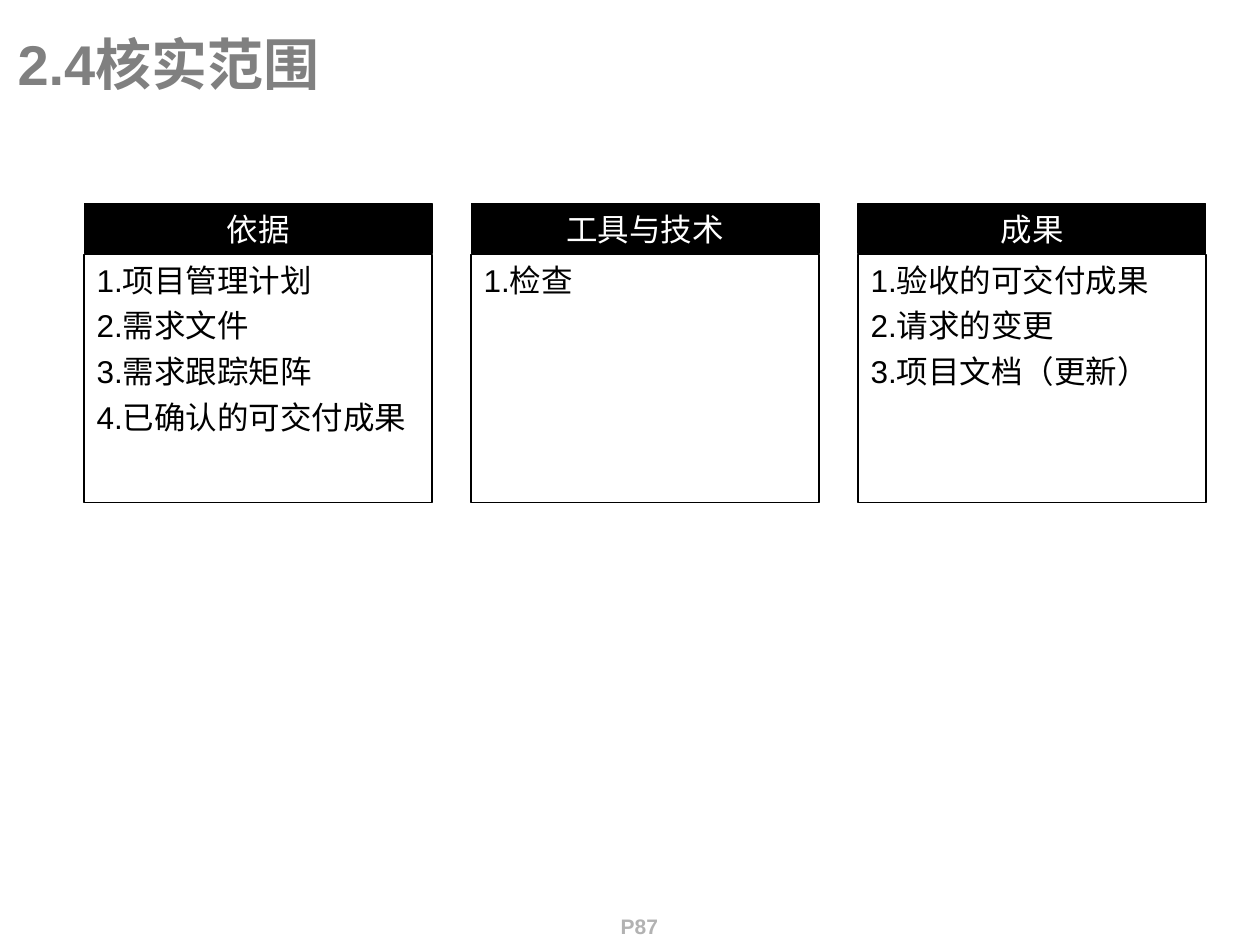
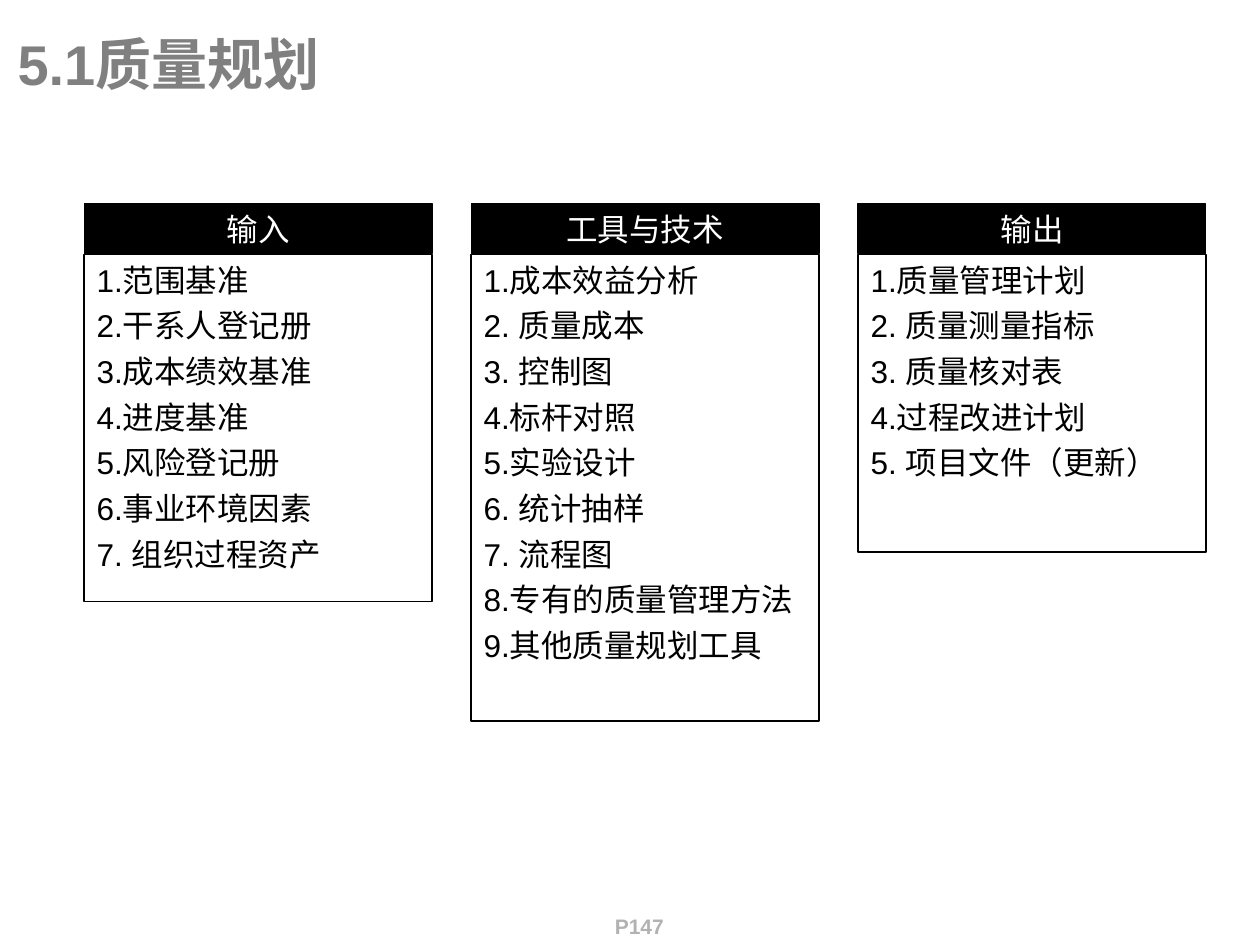
from pptx import Presentation
from pptx.dml.color import RGBColor
from pptx.enum.shapes import MSO_SHAPE
from pptx.enum.text import MSO_ANCHOR, PP_ALIGN
from pptx.util import Cm, Pt

COLORS = {"title": "808080", "page": "B2B2B2", "ink": "000000", "paper": "FFFFFF"}
FONT = "Arial"
COLUMN_LEFT, COLUMN_TOP, COLUMN_STEP, COLUMN_WIDTH = 1.7, 4.11, 7.8, 7.01
HEADER_HEIGHT, BODY_OFFSET = 1.0, 1.02

SLIDES = [
    ("2.4核实范围", "P87", [
        ("依据", 5.0, ["1.项目管理计划", "2.需求文件", "3.需求跟踪矩阵",
                     "4.已确认的可交付成果"]),
        ("工具与技术", 5.0, ["1.检查"]),
        ("成果", 5.0, ["1.验收的可交付成果", "2.请求的变更", "3.项目文档（更新）"]),
    ]),
    ("5.1质量规划", "P147", [
        ("输入", 7.0, ["1.范围基准", "2.干系人登记册", "3.成本绩效基准", "4.进度基准",
                     "5.风险登记册", "6.事业环境因素", "7. 组织过程资产"]),
        ("工具与技术", 9.4, ["1.成本效益分析", "2. 质量成本", "3. 控制图", "4.标杆对照",
                        "5.实验设计", "6. 统计抽样", "7. 流程图",
                        "8.专有的质量管理方法", "9.其他质量规划工具"]),
        ("输出", 6.0, ["1.质量管理计划", "2. 质量测量指标", "3. 质量核对表",
                     "4.过程改进计划", "5. 项目文件（更新）"]),
    ]),
]


def rgb(name):
    """Return the palette colour with this name."""
    return RGBColor.from_string(COLORS[name])


def write(tf, lines, size=18, color="ink", bold=False, align=PP_ALIGN.LEFT,
          anchor=MSO_ANCHOR.TOP, gap=0, wrap=True):
    """Fill a text frame with one formatted paragraph per line."""
    tf.word_wrap = wrap
    tf.vertical_anchor = anchor
    for i, text in enumerate(lines):
        p = tf.add_paragraph() if i else tf.paragraphs[0]
        p.alignment = align
        p.space_before = Pt(gap if i else 0)
        r = p.add_run()
        r.text = text
        r.font.name, r.font.size, r.font.bold = FONT, Pt(size), bold
        r.font.color.rgb = rgb(color)


def add_box(s, left, top, width, height, line_width, fill=None):
    """Add a black-edged rectangle and return its text frame."""
    sp = s.shapes.add_shape(MSO_SHAPE.RECTANGLE, Cm(left), Cm(top), Cm(width), Cm(height))
    sp.shadow.inherit = False
    if fill:
        sp.fill.solid()
        sp.fill.fore_color.rgb = rgb(fill)
    else:
        sp.fill.background()
    sp.line.color.rgb = rgb("ink")
    sp.line.width = Pt(line_width)
    return sp.text_frame


def add_column(s, left, top, width, heading, body_height, items):
    """Add a black heading bar with a framed list beneath it."""
    header = add_box(s, left, top, width, HEADER_HEIGHT, 0.75, fill="ink")
    write(header, [heading], color="paper", align=PP_ALIGN.CENTER)
    body = add_box(s, left, top + BODY_OFFSET, width, body_height, 1)
    write(body, items, gap=4.5)


def add_title(s, text):
    """Place and format the title placeholder."""
    sp = s.shapes.title
    sp.left, sp.top, sp.width, sp.height = Cm(0.1), Cm(0.43), Cm(25.3), Cm(1.68)
    write(sp.text_frame, [text], size=32, color="title", bold=True, anchor=MSO_ANCHOR.MIDDLE)


def add_page_label(s, text):
    """Add the centred page label at the foot of the slide."""
    sp = s.shapes.add_textbox(Cm(12.09), Cm(18.29), Cm(1.6), Cm(0.84))
    write(sp.text_frame, [text], size=12, color="page", bold=True,
          align=PP_ALIGN.CENTER, wrap=False)


def add_process_slide(prs, title, page, columns):
    """Add a slide showing a process as three columns."""
    s = prs.slides.add_slide(prs.slide_layouts[5])
    add_page_label(s, page)
    add_title(s, title)
    for i, column in enumerate(columns):
        add_column(s, COLUMN_LEFT + i * COLUMN_STEP, COLUMN_TOP, COLUMN_WIDTH, *column)


def main():
    """Build and save the presentation."""
    prs = Presentation()
    prs.slide_width, prs.slide_height = Cm(25.4), Cm(19.05)
    for content in SLIDES:
        add_process_slide(prs, *content)
    prs.save("out.pptx")


if __name__ == "__main__":
    main()
